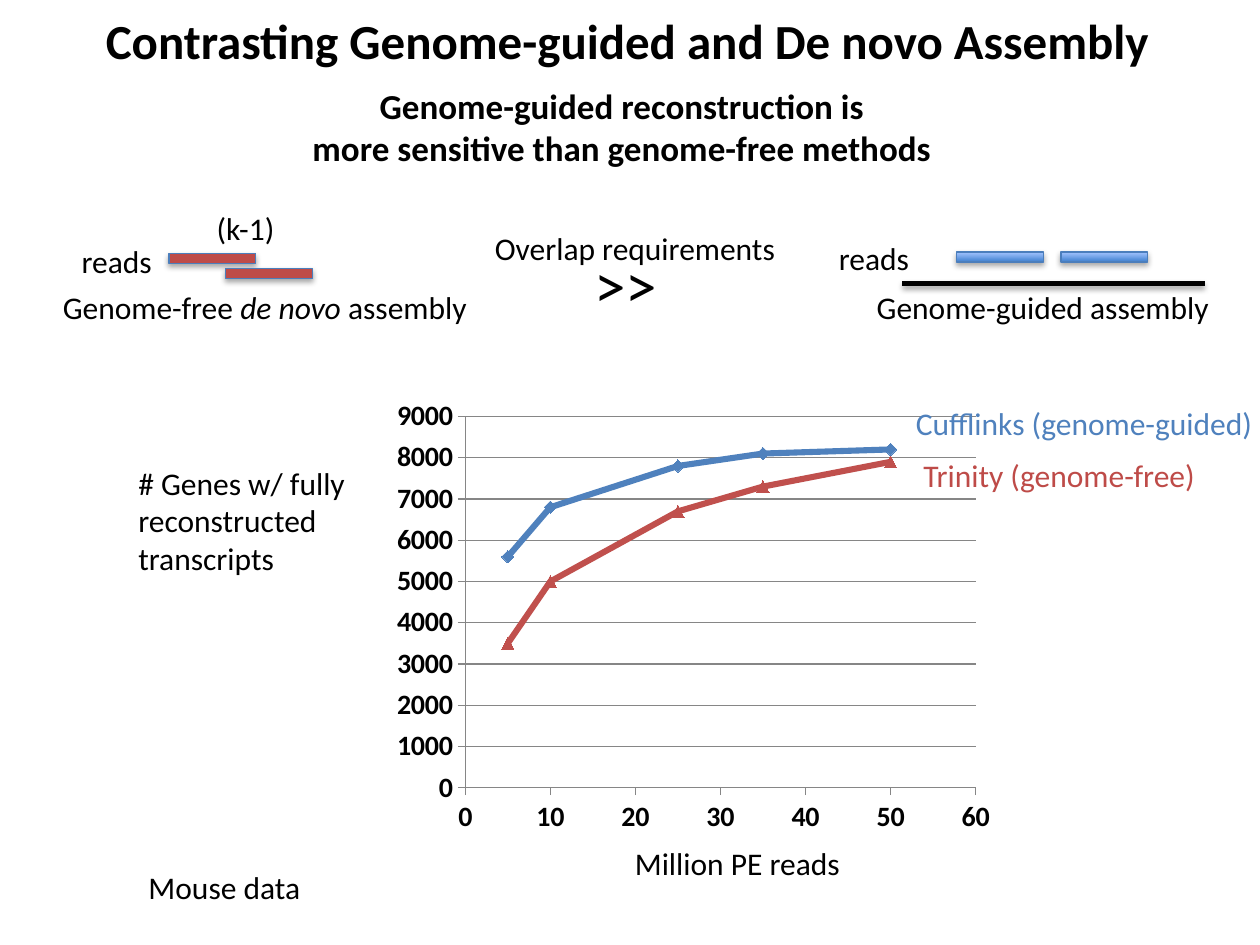
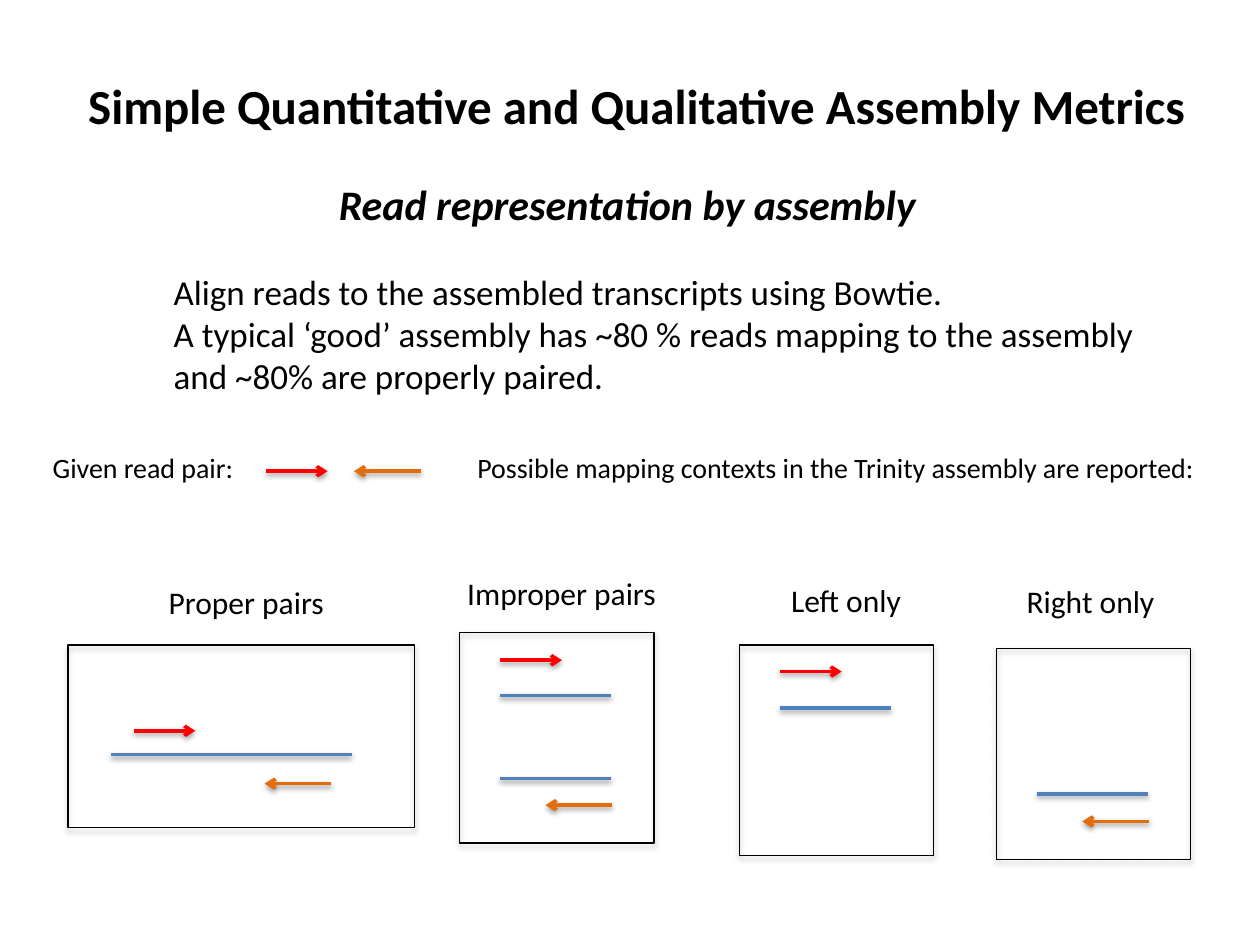
"""Build two slides on transcriptome assembly methods and metrics."""
from lxml import etree
from pptx import Presentation
from pptx.chart.data import XyChartData
from pptx.dml.color import RGBColor
from pptx.enum.chart import XL_CHART_TYPE, XL_MARKER_STYLE, XL_TICK_MARK
from pptx.enum.shapes import MSO_CONNECTOR, MSO_SHAPE
from pptx.enum.text import MSO_ANCHOR, MSO_AUTO_SIZE, PP_ALIGN
from pptx.oxml.ns import qn
from pptx.util import Pt

EMU_PER_PX = 9144
TITLE_ONLY = 5
FONT = "Calibri"
BLACK, GRAY = "000000", "868686"
BLUE, EDGE_BLUE = "4F81BD", "4B7EBC"
BRICK, CHART_RED = "BE4B48", "C0504D"
RED, ORANGE = "FF0000", "E46C0A"
READ_GRADIENT = ("3F80CE", "A4C4FF")
LEFT, CENTER = PP_ALIGN.LEFT, PP_ALIGN.CENTER
TOP, MIDDLE = MSO_ANCHOR.TOP, MSO_ANCHOR.MIDDLE
NO_AUTOFIT, GROW = MSO_AUTO_SIZE.NONE, MSO_AUTO_SIZE.SHAPE_TO_FIT_TEXT
RECTANGLE, STRAIGHT = MSO_SHAPE.RECTANGLE, MSO_CONNECTOR.STRAIGHT
SCATTER = XL_CHART_TYPE.XY_SCATTER_LINES
DIAMOND, TRIANGLE = XL_MARKER_STYLE.DIAMOND, XL_MARKER_STYLE.TRIANGLE
OUTSIDE, NO_TICK = XL_TICK_MARK.OUTSIDE, XL_TICK_MARK.NONE

MILLION_READS = (5, 10, 25, 35, 50)
GENE_SERIES = (
    ("Series 1", (5600, 6800, 7800, 8100, 8200), BLUE, DIAMOND),
    ("Series 2", (3500, 5000, 6700, 7300, 7900), CHART_RED, TRIANGLE),
)
PLOT_LAYOUT = {"layoutTarget": "inner", "xMode": "edge", "yMode": "edge",
               "x": 0.12, "y": 0.05, "w": 0.82, "h": 0.84}


def px(*lengths):
    """Turn pixel lengths into EMU."""
    return [length * EMU_PER_PX for length in lengths]


def rgb(color):
    """Return the colour of a hex string."""
    return RGBColor.from_string(color)


def write_lines(frame, lines, size, color=BLACK, bold=False, italic=False,
                align=LEFT):
    """Write lines, each a string or a list of (text, italic) runs."""
    for index, line in enumerate(lines):
        paragraph = frame.paragraphs[0] if index == 0 else frame.add_paragraph()
        paragraph.alignment = align
        runs = [(line, italic)] if isinstance(line, str) else line
        for text, slanted in runs:
            run = paragraph.add_run()
            run.text = text
            font = run.font
            font.name, font.size = FONT, Pt(size)
            font.bold, font.italic = bold, slanted
            font.color.rgb = rgb(color)


def add_title(slide, box, text):
    """Place the slide title in its placeholder."""
    title = slide.shapes.title
    title.left, title.top, title.width, title.height = px(*box)
    frame = title.text_frame
    frame.word_wrap, frame.auto_size = False, NO_AUTOFIT
    frame.vertical_anchor = TOP
    write_lines(frame, [text], 28, bold=True)


def add_text(slide, box, lines, size=18, wrap=False, anchor=TOP, **style):
    """Add a text box that holds the given lines."""
    frame = slide.shapes.add_textbox(*px(*box)).text_frame
    frame.word_wrap = wrap
    frame.auto_size = GROW if anchor == TOP else NO_AUTOFIT
    frame.vertical_anchor = anchor
    write_lines(frame, lines, size, **style)


def add_shadow(effects, distance, opacity):
    """Put a soft shadow that falls downwards in an effect list."""
    shadow = etree.SubElement(effects, qn("a:outerShdw"), blurRad="40000",
                              dist=str(distance), dir="5400000",
                              rotWithShape="0")
    shade = etree.SubElement(shadow, qn("a:srgbClr"), val=BLACK)
    etree.SubElement(shade, qn("a:alpha"), val=str(opacity * 1000))


def add_line(slide, start, end, color, width=2, arrow=False):
    """Add a straight line with a shadow, with an arrowhead if asked."""
    line = slide.shapes.add_connector(STRAIGHT, *px(*start, *end))
    line.line.color.rgb = rgb(color)
    line.line.width = Pt(width)
    if arrow:
        outline = line.line._get_or_add_ln()
        etree.SubElement(outline, qn("a:tailEnd"), type="arrow")
    properties = line._element.spPr
    add_shadow(etree.SubElement(properties, qn("a:effectLst")), 20000, 38)


def add_rectangle(slide, box, outline, colors=()):
    """Add a shadowed rectangle with no fill, one colour or a gradient."""
    shape = slide.shapes.add_shape(RECTANGLE, *px(*box))
    if len(colors) == 2:
        shape.fill.gradient()
        shape.fill.gradient_angle = 90
        for stop, color in zip(shape.fill.gradient_stops, colors):
            stop.color.rgb = rgb(color)
    elif colors:
        shape.fill.solid()
        shape.fill.fore_color.rgb = rgb(colors[0])
    else:
        shape.fill.background()
    shape.line.color.rgb = rgb(outline)
    shape.line.width = Pt(0.75)
    shape.shadow.inherit = False
    effects = shape._element.spPr.find(qn("a:effectLst"))
    add_shadow(effects, 23000, 35)


def add_read_bar(slide, left, top, *colors):
    """Add the bar that stands for one sequencing read."""
    add_rectangle(slide, (left, top, 69, 8), EDGE_BLUE, colors)


def format_axis(axis, maximum, step, gridlines):
    """Set the scale, ticks and gray lines of a chart axis."""
    axis.minimum_scale, axis.maximum_scale = 0, maximum
    axis.major_unit = step
    axis.major_tick_mark, axis.minor_tick_mark = OUTSIDE, NO_TICK
    axis.has_major_gridlines = gridlines
    axis.tick_labels.number_format = "General"
    axis.tick_labels.number_format_is_linked = False
    lines = [axis.format.line]
    if gridlines:
        lines.append(axis.major_gridlines.format.line)
    for line in lines:
        line.color.rgb = rgb(GRAY)
        line.width = Pt(0.75)


def set_plot_layout(chart):
    """Fix the inner plot area inside the chart."""
    plot_area = chart._chartSpace.chart.plotArea
    for layout in plot_area.findall(qn("c:layout")):
        plot_area.remove(layout)
    layout = etree.Element(qn("c:layout"))
    manual = etree.SubElement(layout, qn("c:manualLayout"))
    for name, value in PLOT_LAYOUT.items():
        etree.SubElement(manual, qn(f"c:{name}"), val=str(value))
    plot_area.insert(0, layout)


def add_gene_chart(slide, box):
    """Add the scatter chart of reconstructed genes by read count."""
    data = XyChartData()
    for name, genes, _, _ in GENE_SERIES:
        points = data.add_series(name)
        for reads, count in zip(MILLION_READS, genes):
            points.add_data_point(reads, count)
    chart = slide.shapes.add_chart(SCATTER, *px(*box), data).chart
    chart.has_legend = chart.has_title = False
    chart.font.name, chart.font.size, chart.font.bold = FONT, Pt(16), True
    chart.font.color.rgb = rgb(BLACK)
    plot = chart.plots[0]
    plot.vary_by_categories = False
    for series, (_, _, color, marker) in zip(plot.series, GENE_SERIES):
        series.smooth = False
        series.format.line.color.rgb = rgb(color)
        series.format.line.width = Pt(3.5)
        series.marker.style, series.marker.size = marker, 7
        series.marker.format.fill.solid()
        series.marker.format.fill.fore_color.rgb = rgb(color)
        series.marker.format.line.color.rgb = rgb(color)
    format_axis(chart.category_axis, 60, 10, False)
    format_axis(chart.value_axis, 9000, 1000, True)
    set_plot_layout(chart)


def add_forward_read(slide, left, top):
    """Add the red arrow of a left read."""
    add_line(slide, (left, top), (left + 49, top), RED, arrow=True)


def add_reverse_read(slide, right, top):
    """Add the orange arrow of a right read."""
    add_line(slide, (right, top), (right - 53, top), ORANGE, arrow=True)


def add_transcript(slide, left, top, width=88):
    """Add the blue line of an assembled transcript."""
    add_line(slide, (left, top), (left + width, top), BLUE)


def add_narrow_panel(slide, left, top, transcripts, forward=None, reverse=None):
    """Add a mapping panel; its parts are given by their drop from the top."""
    for drop in transcripts:
        add_transcript(slide, left + 32, top + drop)
    if forward:
        add_forward_read(slide, left + 32, top + forward)
    if reverse:
        add_reverse_read(slide, left + 121, top + reverse)
    add_rectangle(slide, (left, top, 154, 167), BLACK)


def build_contrast_slide(slide):
    """Compare genome-guided with genome-free assembly."""
    add_title(slide, (74, 3, 859, 57),
              "Contrasting Genome-guided and De novo Assembly")
    add_text(slide, (120, 38, 747, 125),
             ["Genome-guided reconstruction is",
              "more sensitive than genome-free methods"],
             20, wrap=True, anchor=MIDDLE, bold=True, align=CENTER)

    add_text(slide, (686, 224, 287, 40), ["Genome-guided assembly"])
    add_line(slide, (716, 225), (956, 225), BLACK, width=3)
    for left in (759, 842):
        add_read_bar(slide, left, 200, *READ_GRADIENT)
    add_text(slide, (656, 185, 77, 40), ["reads"])

    add_text(slide, (462, 190, 70, 71), [">>"], 36)
    add_text(slide, (383, 177, 246, 40), ["Overlap requirements"])

    add_gene_chart(slide, (310, 313, 494, 351))
    add_text(slide, (494, 665, 185, 40), ["Million PE reads"])
    add_text(slide, (100, 363, 206, 101),
             ["# Genes w/ fully reconstructed transcripts"], wrap=True)
    add_text(slide, (108, 684, 142, 40), ["Mouse data"])
    add_text(slide, (717, 316, 290, 40), ["Cufflinks (genome-guided)"],
             color=BLUE)
    add_text(slide, (723, 357, 240, 40), ["Trinity (genome-free)"],
             color=BRICK)

    for left, top in ((134, 201), (179, 213)):
        add_read_bar(slide, left, top, BRICK)
    add_text(slide, (40, 224, 347, 40),
             [[("Genome-free ", False), ("de novo ", True),
               ("assembly", False)]])
    add_text(slide, (55, 187, 77, 40), ["reads"])
    add_text(slide, (162, 161, 68, 40), ["(k-1)"])


def build_metrics_slide(slide):
    """Show the ways a read pair can map to an assembly."""
    add_title(slide, (60, 55, 903, 57),
              "Simple Quantitative and Qualitative Assembly Metrics")
    add_text(slide, (259, 137, 492, 50), ["Read representation by assembly"],
             24, bold=True, italic=True)
    add_text(slide, (128, 210, 790, 111),
             ["Align reads to the assembled transcripts using Bowtie.",
              "A typical ‘good’ assembly has ~80 % reads mapping to the assembly",
              "and ~80% are properly paired."], 20)

    add_text(slide, (32, 353, 166, 37), ["Given read pair:"], 16)
    add_forward_read(slide, 211, 374)
    add_reverse_read(slide, 334, 374)
    add_text(slide, (369, 353, 599, 37),
             ["Possible mapping contexts in the Trinity assembly are reported:"],
             16)

    add_transcript(slide, 88, 599, 191)
    add_forward_read(slide, 106, 580)
    add_reverse_read(slide, 263, 622)
    add_rectangle(slide, (54, 512, 275, 145), BLACK)
    add_narrow_panel(slide, 365, 502, (50, 116), forward=22, reverse=137)
    add_narrow_panel(slide, 587, 512, (50,), forward=21)
    add_narrow_panel(slide, 791, 515, (115,), reverse=137)
    for left, top, width, label in ((124, 458, 146, "Proper pairs"),
                                    (361, 451, 172, "Improper pairs"),
                                    (618, 456, 109, "Left only"),
                                    (805, 457, 123, "Right only")):
        add_text(slide, (left, top, width, 40), [label])


def main():
    """Build and save the presentation."""
    presentation = Presentation()
    presentation.slide_width, presentation.slide_height = px(1000, 750)
    layout = presentation.slide_layouts[TITLE_ONLY]
    for build in (build_contrast_slide, build_metrics_slide):
        build(presentation.slides.add_slide(layout))
    presentation.save("out.pptx")


if __name__ == "__main__":
    main()
